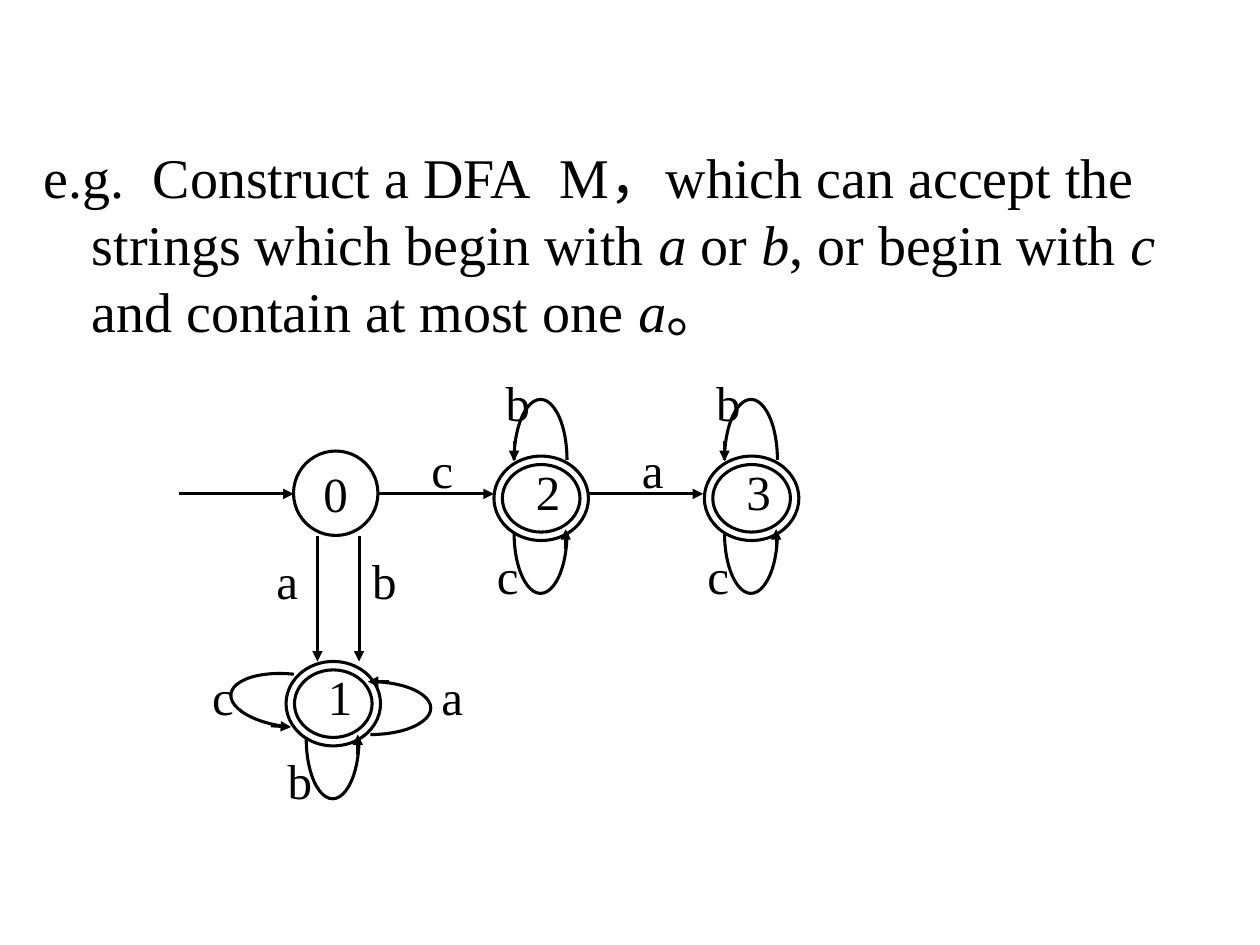
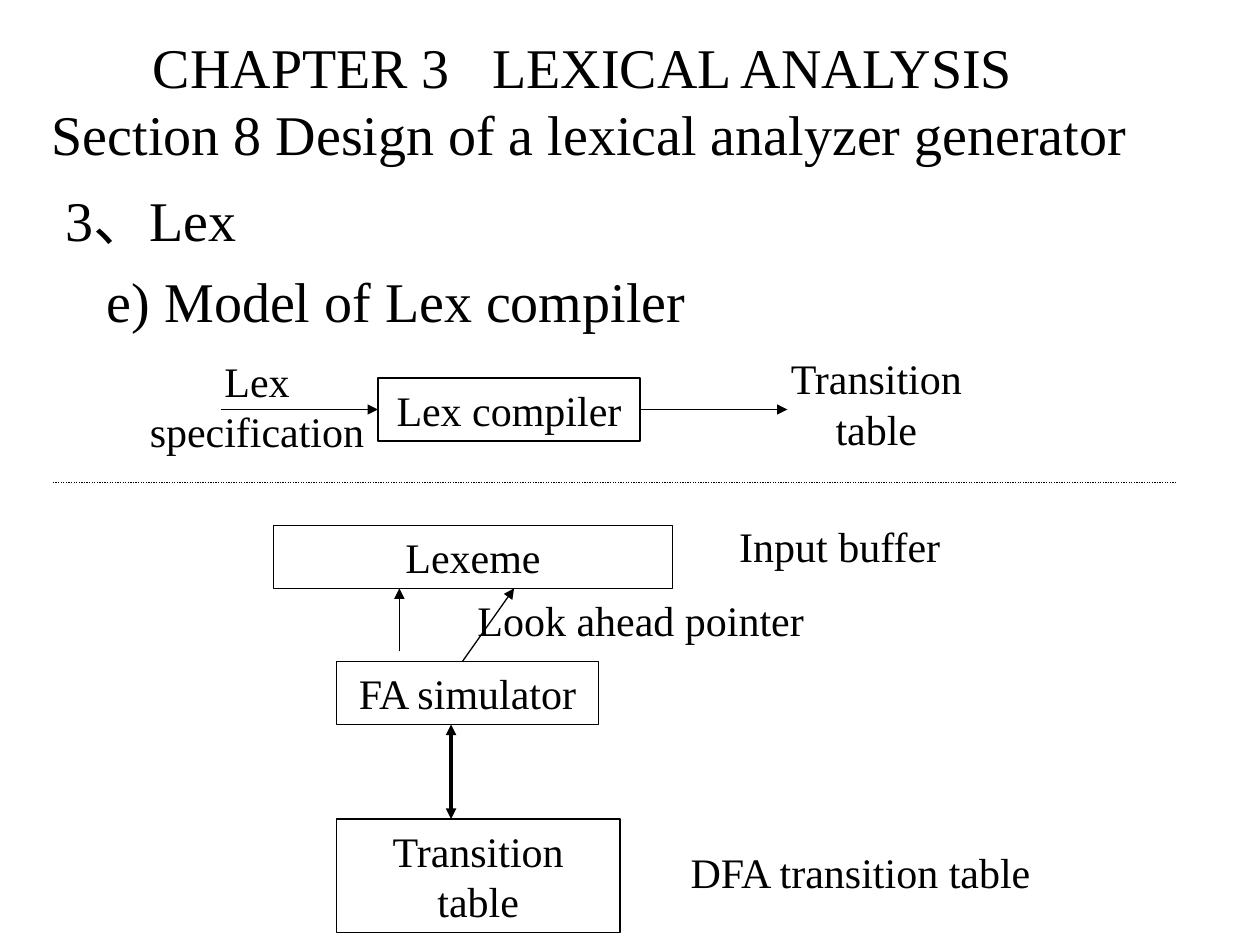
from lxml import etree
from pptx import Presentation
from pptx.dml.color import RGBColor
from pptx.enum.dml import MSO_LINE_DASH_STYLE as DASH
from pptx.enum.shapes import MSO_CONNECTOR, MSO_SHAPE
from pptx.enum.text import MSO_ANCHOR, PP_ALIGN
from pptx.oxml.ns import qn
from pptx.util import Inches, Pt

INK = "000000"
FONT = "Times New Roman"
HEADING, STATE_TEXT, BOX_TEXT = 32, 28, 24
STATE_LINE, BOX_LINE, THICK_LINE = 1.75, 0.75, 2
ITALIC = {"i": "1"}
TEXT, LINE = "text", "line"


def write(shape, paragraphs, size, align=PP_ALIGN.CENTER, anchor=MSO_ANCHOR.TOP):
    """Fill a shape with paragraphs of runs; a run is text or (text, run attributes)."""
    frame = shape.text_frame
    frame.word_wrap = True
    frame.vertical_anchor = anchor
    for index, runs in enumerate(paragraphs):
        paragraph = frame.add_paragraph() if index else frame.paragraphs[0]
        paragraph.alignment = align
        for item in runs:
            text, attributes = (item, {}) if isinstance(item, str) else item
            run = paragraph.add_run()
            run.text = text
            run.font.size = Pt(size)
            run.font.name = FONT
            run.font.color.rgb = RGBColor.from_string(INK)
            for key, value in attributes.items():
                run.font._element.set(key, value)
    return frame


def draw(slide, kind, box, width=None, arrowheads=("tailEnd",)):
    """Add a text box, a line with arrowheads, or an outlined preset shape."""
    lengths = [Inches(v) for v in box]
    if kind == TEXT:
        return slide.shapes.add_textbox(*lengths)
    if kind == LINE:
        item = slide.shapes.add_connector(MSO_CONNECTOR.STRAIGHT, *lengths)
        etree.SubElement(item._element.spPr, qn("a:effectLst"))
    else:
        item = slide.shapes.add_shape(kind, *lengths)
        item.shadow.inherit = False
        item.fill.background()
    item.line.color.rgb = RGBColor.from_string(INK)
    item.line.width = Pt(width)
    if kind == LINE:
        for end in arrowheads:
            etree.SubElement(item.line._get_or_add_ln(), qn("a:" + end), type="triangle")
    return item


prs = Presentation()
prs.slide_width, prs.slide_height = Inches(10), Inches(7.5)
blank = prs.slide_layouts[6]

# Slide 1: the automaton
automaton = prs.slides.add_slide(blank)
task = draw(automaton, TEXT, (0.25, 1.08, 9.5, 1.83))
wide_space = (" ", {"spc": "800"})
frame = write(task, [[
    "e.g.", wide_space, "Construct a DFA", wide_space,
    "M，which can accept the strings which begin with ", ("a", ITALIC), " or ",
    ("b", ITALIC), ", or begin with ", ("c", ITALIC),
    " and contain at most one ", ("a", ITALIC), "。"]], HEADING, PP_ALIGN.LEFT)
hanging = frame.paragraphs[0]._p.get_or_add_pPr()
hanging.set("marL", str(Inches(0.38)))
hanging.set("indent", str(Inches(-0.38)))

start = draw(automaton, MSO_SHAPE.OVAL, (2.33, 3.58, 0.67, 0.67), STATE_LINE)
write(start, [["0"]], STATE_TEXT, anchor=MSO_ANCHOR.MIDDLE)

transitions = [
    (1.42, 3.92, 2.33, 3.92), (3, 3.92, 3.92, 3.92), (4.67, 3.92, 5.58, 3.92),
    (2.52, 4.25, 2.52, 5.25), (2.85, 4.25, 2.85, 5.25),
]
for ends_at in transitions:
    draw(automaton, LINE, ends_at, STATE_LINE)

# Loops, relative to the state's centre:
# centre x, y, radius x, y, start angle, end angle, rotation, arrow from and to
loops = {
    "top": (0, -0.3, 0.21, 0.48, 180, 0, 0, (-0.21, -0.45, -0.21, -0.29)),
    "bottom": (0, 0.28, 0.21, 0.48, 0, 180, 0, (0.2, 0.41, 0.2, 0.25)),
    "right": (0.3, 0.04, 0.48, 0.21, 270, 90, 0, (0.45, -0.17, 0.28, -0.17)),
    "left": (-0.33, -0.02, 0.48, 0.21, 90, 270, 6, (-0.49, 0.18, -0.33, 0.19)),
}
loop_label_offsets = {
    "top": (-0.18, -0.99), "bottom": (-0.26, 0.38),
    "right": (0.95, -0.29), "left": (-0.87, -0.29),
}
accepting = [
    ("1", 2.64, 5.58, {"bottom": "b", "right": "a", "left": "c"}),
    ("2", 4.29, 3.95, {"top": "b", "bottom": "c"}),
    ("3", 5.96, 3.95, {"top": "b", "bottom": "c"}),
]
# Labels as text, centre x, top
labels = [("c", 3.51, 3.49), ("a", 5.18, 3.49), ("a", 2.28, 4.37), ("b", 3.05, 4.37)]
for number, x, y, state_loops in accepting:
    ring = draw(automaton, MSO_SHAPE.DONUT, (x - 0.37, y - 0.33, 0.75, 0.67), STATE_LINE)
    ring.adjustments[0] = 0.1
    labels.append((number, x + 0.06, y - 0.29))
    for side, symbol in state_loops.items():
        dx, dy, rx, ry, first, last, turn, (x1, y1, x2, y2) = loops[side]
        arc = draw(automaton, MSO_SHAPE.ARC,
                   (x + dx - rx, y + dy - ry, 2 * rx, 2 * ry), STATE_LINE)
        arc.adjustments[0] = first * 0.6  # 60000 units a degree, in steps of 100000
        arc.adjustments[1] = last * 0.6
        arc.rotation = turn
        draw(automaton, LINE, (x + x1, y + y1, x + x2, y + y2), STATE_LINE)
        label_dx, label_dy = loop_label_offsets[side]
        labels.append((symbol, x + label_dx, y + label_dy))

for symbol, x, top in labels:
    frame = write(draw(automaton, TEXT, (x - 0.2, top, 0.4, 0.47)), [[symbol]], STATE_TEXT)
    frame.margin_left = frame.margin_right = frame.margin_top = frame.margin_bottom = 0

# Slide 2: the Lex compiler model
model = prs.slides.add_slide(blank)
title = write(draw(model, TEXT, (0, 0, 9.25, 1.58)), [
    ["CHAPTER 3", (" ", {"spc": "1600"}), "LEXICAL ANALYSIS"],
    ["Section 8 Design of a lexical analyzer generator"],
], HEADING, anchor=MSO_ANCHOR.MIDDLE)
title.paragraphs[1]._p.get_or_add_pPr().set("marL", str(Inches(0.11)))

outline = write(draw(model, TEXT, (0.42, 1.42, 9.33, 6.08)),
                [["3、Lex"], ["e) Model of Lex compiler"]], HEADING, PP_ALIGN.LEFT)
outline.paragraphs[1].space_before = Pt(8)
outline.paragraphs[1]._p.get_or_add_pPr().set("marL", str(Inches(0.33)))

parts = [
    ("Lex specification", TEXT, (1, 2.77, 2.08, 0.9)),
    ("Lex compiler", MSO_SHAPE.RECTANGLE, (3, 3, 2.08, 0.5)),
    ("Transition table", TEXT, (6.08, 2.75, 1.75, 0.9)),
    ("Lexeme", MSO_SHAPE.RECTANGLE, (2.17, 4.17, 3.17, 0.5)),
    ("Input buffer", TEXT, (5.58, 4.08, 2.17, 0.5)),
    ("FA simulator", MSO_SHAPE.RECTANGLE, (2.67, 5.25, 2.08, 0.5)),
    ("Transition table", MSO_SHAPE.RECTANGLE, (2.67, 6.5, 2.25, 0.9)),
    ("DFA transition table", TEXT, (5.33, 6.67, 3, 0.5)),
    ("Look ahead pointer", TEXT, (3.42, 4.67, 3.33, 0.5)),
]
for text, kind, box in parts:
    write(draw(model, kind, box, BOX_LINE), [[text]], BOX_TEXT)

flows = [
    (1.75, 3.25, 3, 3.25), (5.08, 3.25, 6.25, 3.25),
    (3.17, 5.17, 3.17, 4.67), (3.67, 5.25, 4.08, 4.67),
]
for ends_at in flows:
    draw(model, LINE, ends_at, BOX_LINE)
draw(model, LINE, (3.58, 5.75, 3.58, 6.5), THICK_LINE, ("headEnd", "tailEnd"))
divider = draw(model, LINE, (0.42, 3.83, 9.33, 3.83), BOX_LINE, ())
divider.line.dash_style = DASH.ROUND_DOT

prs.save("out.pptx")
